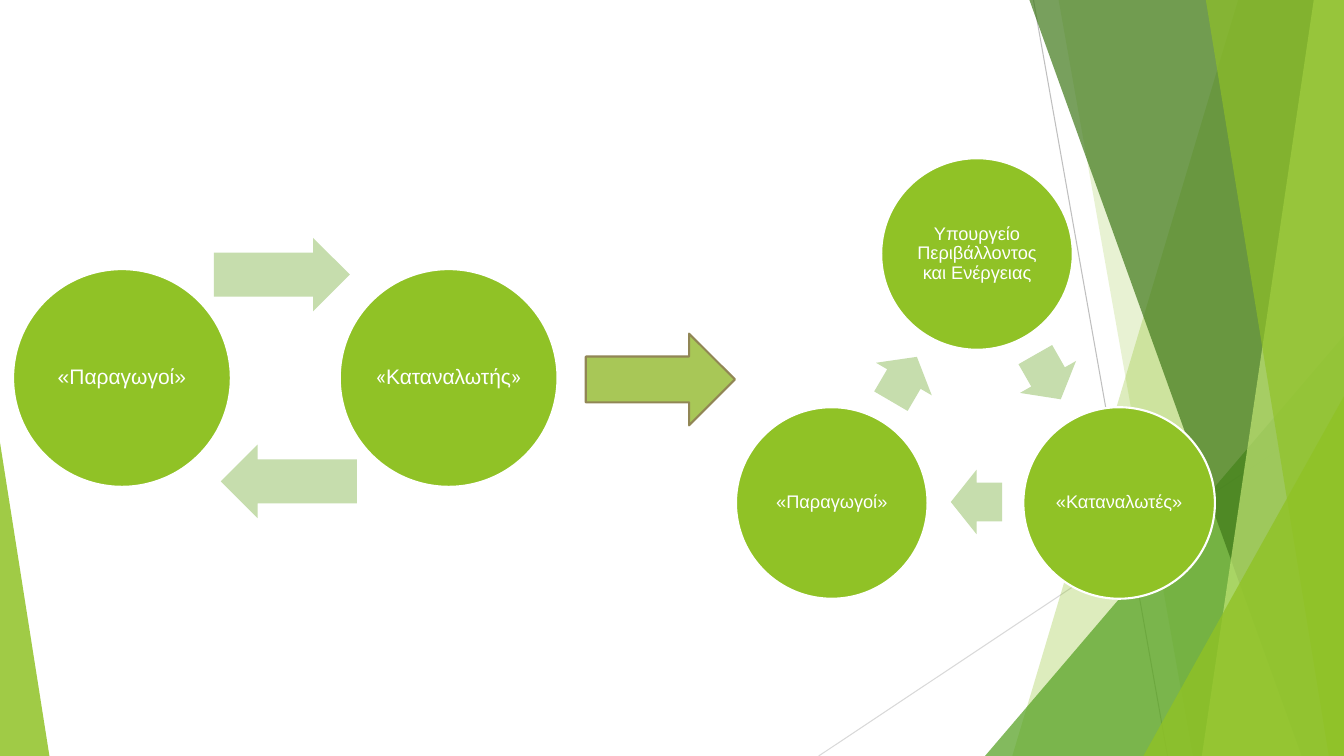
from lxml.etree import SubElement
from pptx import Presentation
from pptx.dml.color import RGBColor
from pptx.enum.shapes import MSO_CONNECTOR, MSO_SHAPE
from pptx.enum.text import MSO_ANCHOR, PP_ALIGN
from pptx.oxml.ns import qn
from pptx.util import Inches, Pt

SLIDE_WIDTH = 13.33
SLIDE_HEIGHT = 7.5
GREEN = "90C226"
PALE_GREEN = "C6DDAD"
WHITE = "FFFFFF"


def set_color(color_format, value):
    color_format.rgb = RGBColor.from_string(value)


def style_shape(shape, fill, opacity=100, line=None):
    shape.shadow.inherit = False
    shape.fill.solid()
    set_color(shape.fill.fore_color, fill)
    if opacity < 100:
        color = shape.fill._xPr.find(qn("a:solidFill"))[0]
        SubElement(color, qn("a:alpha"), val=str(opacity * 1000))
    if line:
        set_color(shape.line.color, line)
        shape.line.width = Pt(1.5)
    else:
        shape.line.fill.background()


def add_preset(slide, kind, left, top, width, height):
    return slide.shapes.add_shape(
        kind, Inches(left), Inches(top), Inches(width), Inches(height))


def add_thin_line(slide, start, end, color):
    connector = slide.shapes.add_connector(
        MSO_CONNECTOR.STRAIGHT, *map(Inches, start + end))
    set_color(connector.line.color, color)
    connector.line.width = Pt(0.75)
    SubElement(connector._element.spPr, qn("a:effectLst"))


def add_band(slide, top_left, bottom_left, color, opacity):
    builder = slide.shapes.build_freeform(Inches(top_left), 0)
    corners = [(SLIDE_WIDTH, 0), (SLIDE_WIDTH, SLIDE_HEIGHT),
               (bottom_left, SLIDE_HEIGHT)]
    builder.add_line_segments([(Inches(x), Inches(y)) for x, y in corners])
    style_shape(builder.convert_to_shape(), color, opacity)


def add_corner_triangle(slide, left, width, height, apex, color, opacity):
    triangle = add_preset(slide, MSO_SHAPE.ISOSCELES_TRIANGLE,
                          left, SLIDE_HEIGHT - height, width, height)
    triangle.adjustments[0] = apex
    style_shape(triangle, color, opacity)


def add_circle(slide, left, top, diameter, label, size, quote_font="Arial"):
    circle = add_preset(slide, MSO_SHAPE.OVAL, left, top, diameter, diameter)
    style_shape(circle, GREEN, line=WHITE)
    frame = circle.text_frame
    frame.word_wrap = True
    frame.vertical_anchor = MSO_ANCHOR.MIDDLE
    frame.margin_left = frame.margin_right = Inches(0.02)
    frame.margin_top = frame.margin_bottom = Inches(0.02)
    paragraph = frame.paragraphs[0]
    paragraph.alignment = PP_ALIGN.CENTER
    paragraph.line_spacing = 0.9
    paragraph.font.size = Pt(size)
    paragraph.font.name = "Arial"
    set_color(paragraph.font.color, WHITE)
    if quote_font == "Arial":
        paragraph.add_run().text = label
        return
    for text, font in ((label[0], quote_font), (label[1:-1], "Arial"),
                       (label[-1], quote_font)):
        run = paragraph.add_run()
        run.text = text
        run.font.name = font


def add_cycle_arrow(slide, left, top, width, height, rotation=0):
    arrow = add_preset(slide, MSO_SHAPE.RIGHT_ARROW, left, top, width, height)
    arrow.adjustments[0] = 0.6
    arrow.adjustments[1] = 0.5
    arrow.rotation = rotation
    style_shape(arrow, PALE_GREEN)


def add_backdrop(slide):
    add_thin_line(slide, (10.25, 0), (11.58, SLIDE_HEIGHT), "BFBFBF")
    add_thin_line(slide, (SLIDE_WIDTH, 4.03), (8.12, SLIDE_HEIGHT), "D9D9D9")
    add_band(slide, 12.28, 10.04, GREEN, 30)
    add_band(slide, 10.5, 11.83, GREEN, 20)
    add_corner_triangle(slide, 9.77, 3.56, 4.17, 1, "54A021", 72)
    add_band(slide, 10.21, 12.91, "3F7819", 70)
    add_band(slide, 13.03, 11.92, "C0E474", 70)
    add_band(slide, 11.96, 13.18, GREEN, 65)
    add_corner_triangle(slide, 11.34, 1.99, 3.57, 1, GREEN, 80)
    add_corner_triangle(slide, 0, 0.49, 3.11, 0, GREEN, 85)


def add_two_part_cycle(slide):
    add_circle(slide, 0.13, 2.67, 2.16, "«Παραγωγοί»", 15)
    add_cycle_arrow(slide, 2.12, 2.36, 1.35, 0.73)
    add_circle(slide, 3.37, 2.67, 2.16, "«Καταναλωτής»", 15, "Roboto")
    add_cycle_arrow(slide, 2.19, 4.41, 1.35, 0.73, 180)


def add_three_part_cycle(slide):
    circles = [(8.74, 1.57, "Υπουργείο Περιβάλλοντος και Ενέργειας"),
               (10.15, 4.04, "«Καταναλωτές»"),
               (7.3, 4.04, "«Παραγωγοί»")]
    arrows = [(10.14, 3.42, 60.3), (9.43, 4.66, 180), (8.71, 3.44, 300.3)]
    for left, top, label in circles:
        add_circle(slide, left, top, 1.9, label, 13)
    for left, top, rotation in arrows:
        add_cycle_arrow(slide, left, top, 0.51, 0.64, rotation)


def add_transition_arrow(slide):
    arrow = add_preset(slide, MSO_SHAPE.RIGHT_ARROW, 5.81, 3.31, 1.48, 0.91)
    style_shape(arrow, "A8C757", line="918655")


def main():
    presentation = Presentation()
    presentation.slide_width = Inches(SLIDE_WIDTH)
    presentation.slide_height = Inches(SLIDE_HEIGHT)
    slide = presentation.slides.add_slide(presentation.slide_layouts[6])
    add_backdrop(slide)
    add_two_part_cycle(slide)
    add_three_part_cycle(slide)
    add_transition_arrow(slide)
    presentation.save("out.pptx")


if __name__ == "__main__":
    main()
